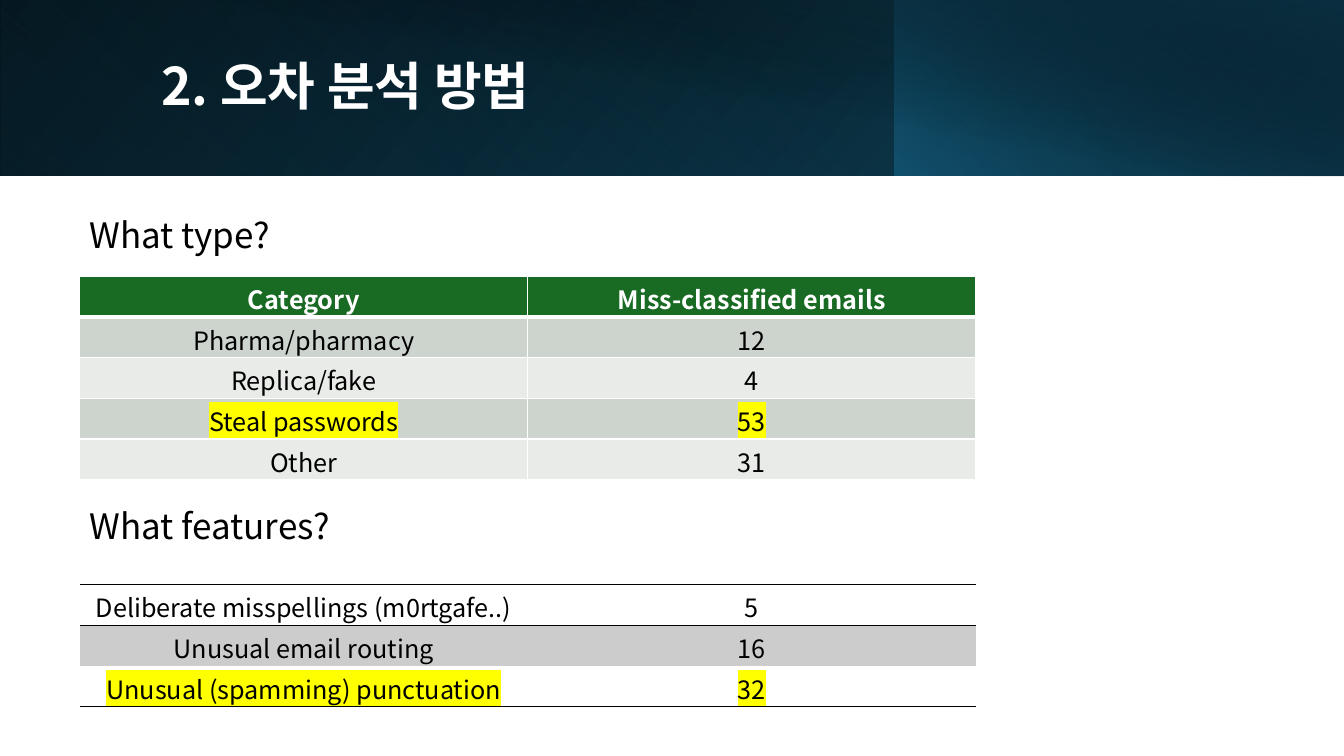
from dataclasses import dataclass

from pptx import Presentation
from pptx.dml.color import RGBColor as Rgb
from pptx.enum.shapes import MSO_SHAPE as Preset
from pptx.enum.text import MSO_ANCHOR as Anchor, MSO_AUTO_SIZE as AutoSize, PP_ALIGN as Align
from pptx.oxml import parse_xml
from pptx.oxml.ns import nsdecls, qn
from pptx.util import Inches, Pt

COLORS = {
    "black": "000000", "white": "FFFFFF", "teal": "156082", "deep": "0B3041",
    "sea": "104862", "green": "196B24", "sage": "CCD4CD", "mist": "E8EBE8",
    "gray": "CCCCCC", "yellow": "FFFF00",
}
HEADING_FONT, TABLE_FONT = "Noto Sans CJK JP", "Noto Sans CJK KR"


@dataclass(frozen=True)
class Band:
    left: float
    width: float
    height: float
    angle: int
    stops: tuple[tuple[int, str, int], ...]  # position %, color, opacity %
    flipped: bool = True
    rotation: int = 0


@dataclass(frozen=True)
class Label:
    text: str
    left: float
    top: float
    width: float
    height: float
    size: float
    color: str = "black"
    title: bool = False


@dataclass(frozen=True)
class Row:
    values: tuple[str, str]
    fill: str | None = None
    color: str = "black"
    bold: bool = False
    marked: bool = False
    borders: tuple[tuple[str, str, int], ...] = ()  # side, color, points


@dataclass(frozen=True)
class Grid:
    top: float
    height: float
    rows: tuple[Row, ...]


def box_lines(color: str, bottom: int = 1) -> tuple[tuple[str, str, int], ...]:
    return tuple((side, color, bottom if side == "B" else 1) for side in "LRTB")


BANDS = (
    Band(0, 13.33, 1.74, 140, ((0, "black", 100), (100, "sea", 100))),
    Band(0, 8.88, 1.74, 230, ((20, "teal", 0), (100, "deep", 55)), rotation=180),
    Band(8.87, 4.46, 1.74, 220, ((0, "teal", 66), (100, "black", 30))),
    Band(0.5, 12.83, 1.75, 280, ((50, "black", 0), (99, "deep", 52)), flipped=False),
)
LABELS = (
    Label("2. 오차 분석 방법", 1.5, 0.32, 10.82, 1.13, 37, "white", True),
    Label("What type?", 0.79, 2.07, 6.31, 0.52, 25),
    Label("What features?", 0.79, 4.96, 6.31, 0.52, 25),
)
WHITE_BOX = box_lines("white")
TOP, BOTTOM = ("T", "black", 1), ("B", "black", 1)
GRIDS = (
    Grid(2.74, 2.02, (
        Row(("Category", "Miss-classified emails"), "green", "white", True,
            borders=box_lines("white", 3)),
        Row(("Pharma/pharmacy", "12"), "sage", borders=WHITE_BOX),
        Row(("Replica/fake", "4"), "mist", borders=WHITE_BOX),
        Row(("Steal passwords", "53"), "sage", marked=True, borders=WHITE_BOX),
        Row(("Other", "31"), "mist", borders=WHITE_BOX),
    )),
    Grid(5.8, 1.21, (
        Row(("Deliberate misspellings (m0rtgafe..)", "5"), borders=(TOP, BOTTOM)),
        Row(("Unusual email routing", "16"), "gray", borders=(TOP,)),
        Row(("Unusual (spamming) punctuation", "32"), marked=True, borders=(BOTTOM,)),
    )),
)


def add_span(para, text: str, font: str, size: float, color: str,
             bold: bool = False, marked: bool = False) -> None:
    span = para.add_run()
    span.text = text
    span.font.size, span.font.bold, span.font.name = Pt(size), bold, font
    span.font.color.rgb = Rgb.from_string(COLORS[color])
    props = span.font._element
    props.append(parse_xml(f'<a:ea {nsdecls("a")} typeface="{font}"/>'))
    if marked:
        props.find(qn("a:solidFill")).addnext(parse_xml(
            f'<a:highlight {nsdecls("a")}><a:srgbClr val="{COLORS["yellow"]}"/></a:highlight>'))


def add_band(page, band: Band) -> None:
    box = page.shapes.add_shape(Preset.RECTANGLE, Inches(band.left), 0,
                                Inches(band.width), Inches(band.height))
    box.shadow.inherit = False
    box.line.fill.background()
    box.fill.background()
    box.rotation = band.rotation
    props = box._element.spPr
    if band.flipped:
        props.find(qn("a:xfrm")).set("flipH", "1")
    stops = "".join(
        f'<a:gs pos="{position * 1000}"><a:srgbClr val="{COLORS[color]}">'
        f'<a:alpha val="{opacity * 1000}"/></a:srgbClr></a:gs>'
        for position, color, opacity in band.stops)
    gradient = parse_xml(
        f'<a:gradFill {nsdecls("a")}><a:gsLst>{stops}</a:gsLst>'
        f'<a:lin ang="{band.angle * 60000}" scaled="0"/></a:gradFill>')
    props.replace(props.find(qn("a:noFill")), gradient)


def add_label(page, label: Label) -> None:
    box = page.shapes.add_textbox(Inches(label.left), Inches(label.top),
                                  Inches(label.width), Inches(label.height))
    frame = box.text_frame
    frame.word_wrap = True
    para = frame.paragraphs[0]
    if label.title:
        frame.vertical_anchor = Anchor.MIDDLE
        para.line_spacing = 0.9
    else:
        frame.auto_size = AutoSize.SHAPE_TO_FIT_TEXT
    add_span(para, label.text, HEADING_FONT, label.size, label.color, label.title)


def set_borders(cell, borders: tuple[tuple[str, str, int], ...]) -> None:
    drawn = {side: (color, points) for side, color, points in borders}
    props = cell._tc.get_or_add_tcPr()
    for index, side in enumerate("LRTB"):
        color, points = drawn.get(side, (None, 0))
        paint = (f'<a:solidFill><a:srgbClr val="{COLORS[color]}"/></a:solidFill>'
                 if color else "<a:noFill/>")
        props.insert(index, parse_xml(
            f'<a:ln{side} {nsdecls("a")} w="{Pt(points)}">{paint}</a:ln{side}>'))


def add_grid(page, grid: Grid) -> None:
    table = page.shapes.add_table(len(grid.rows), 2, Inches(0.79), Inches(grid.top),
                                  Inches(8.89), Inches(grid.height)).table
    table.first_row = table.horz_banding = False
    for row_index, row in enumerate(grid.rows):
        for column, value in enumerate(row.values):
            cell = table.cell(row_index, column)
            cell.margin_top, cell.margin_bottom = Inches(0.04), 0
            if row.fill:
                cell.fill.solid()
                cell.fill.fore_color.rgb = Rgb.from_string(COLORS[row.fill])
            else:
                cell.fill.background()
            set_borders(cell, row.borders)
            para = cell.text_frame.paragraphs[0]
            para.alignment = Align.CENTER
            add_span(para, value, TABLE_FONT, 18, row.color, row.bold, row.marked)


def main() -> None:
    deck = Presentation()
    deck.slide_width, deck.slide_height = Inches(13.33), Inches(7.5)
    page = deck.slides.add_slide(deck.slide_layouts[6])
    # Header background
    for band in BANDS:
        add_band(page, band)
    # Title and section headings
    for label in LABELS:
        add_label(page, label)
    # Error tables
    for grid in GRIDS:
        add_grid(page, grid)
    deck.save("out.pptx")


if __name__ == "__main__":
    main()
